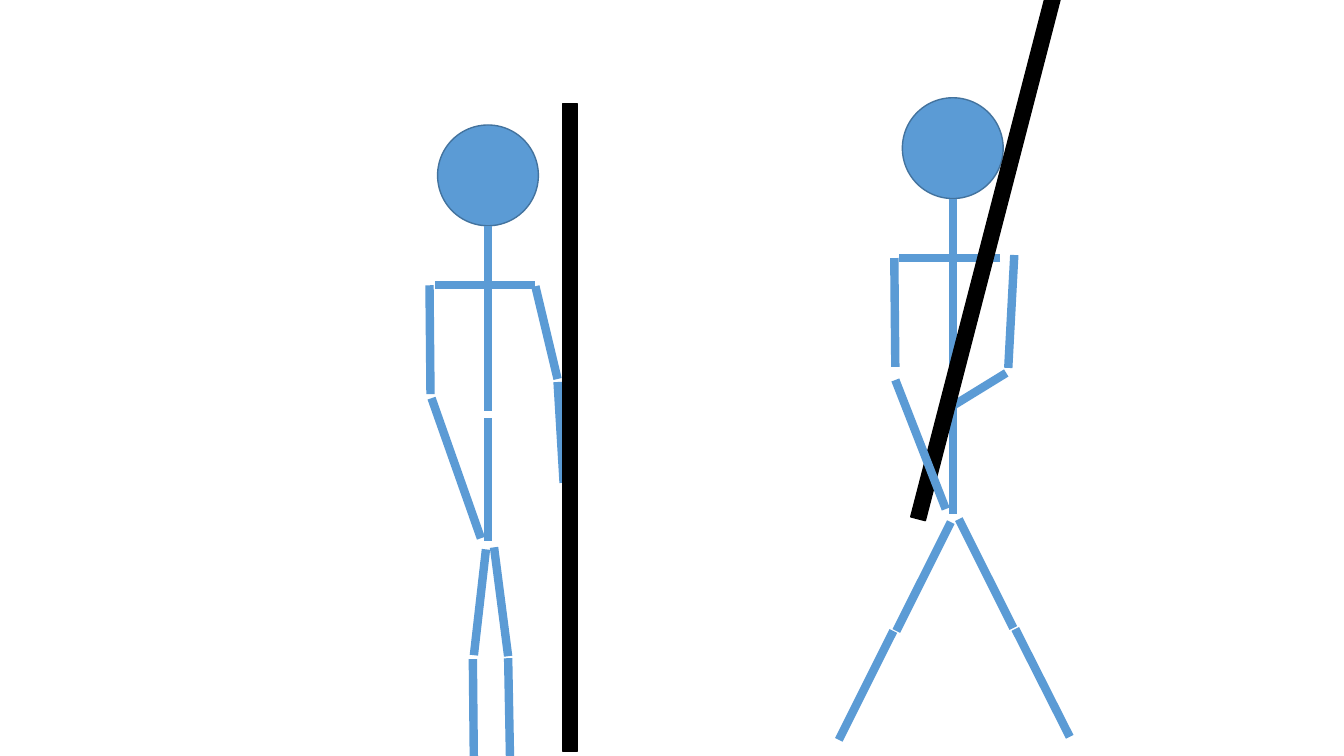
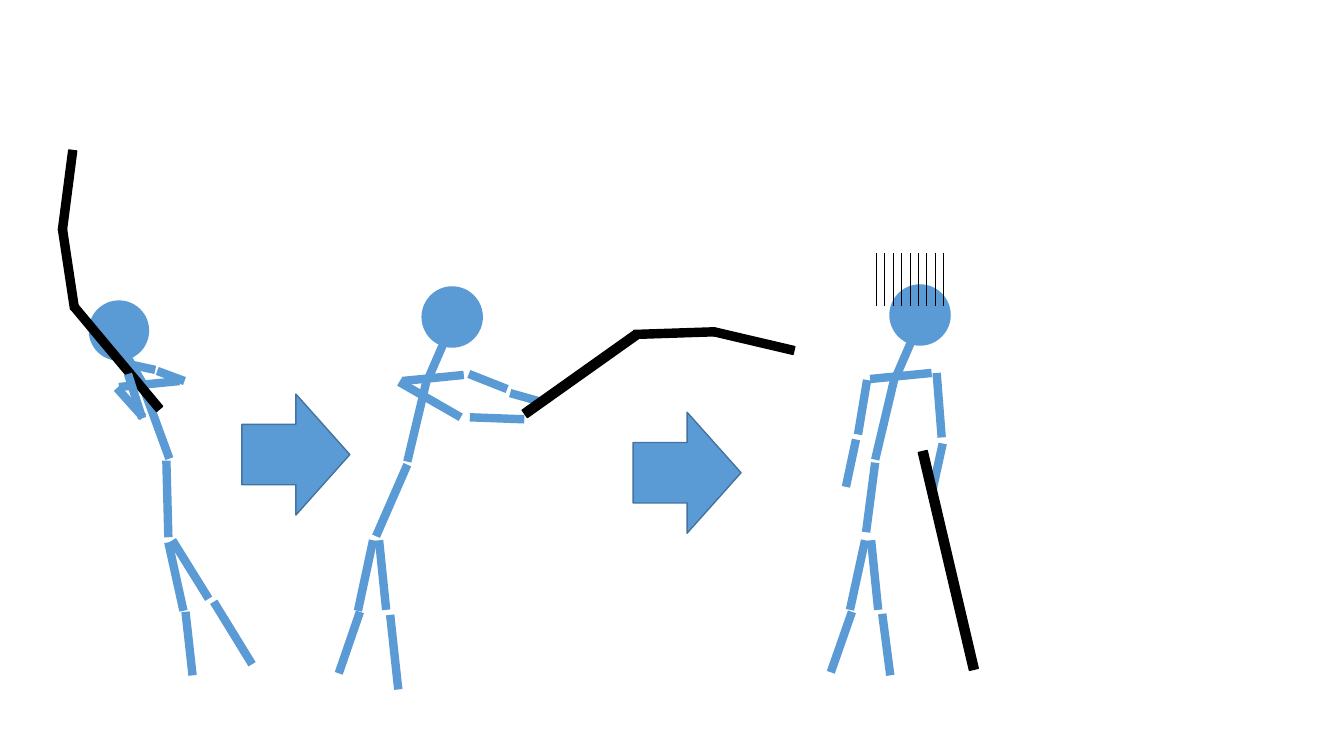
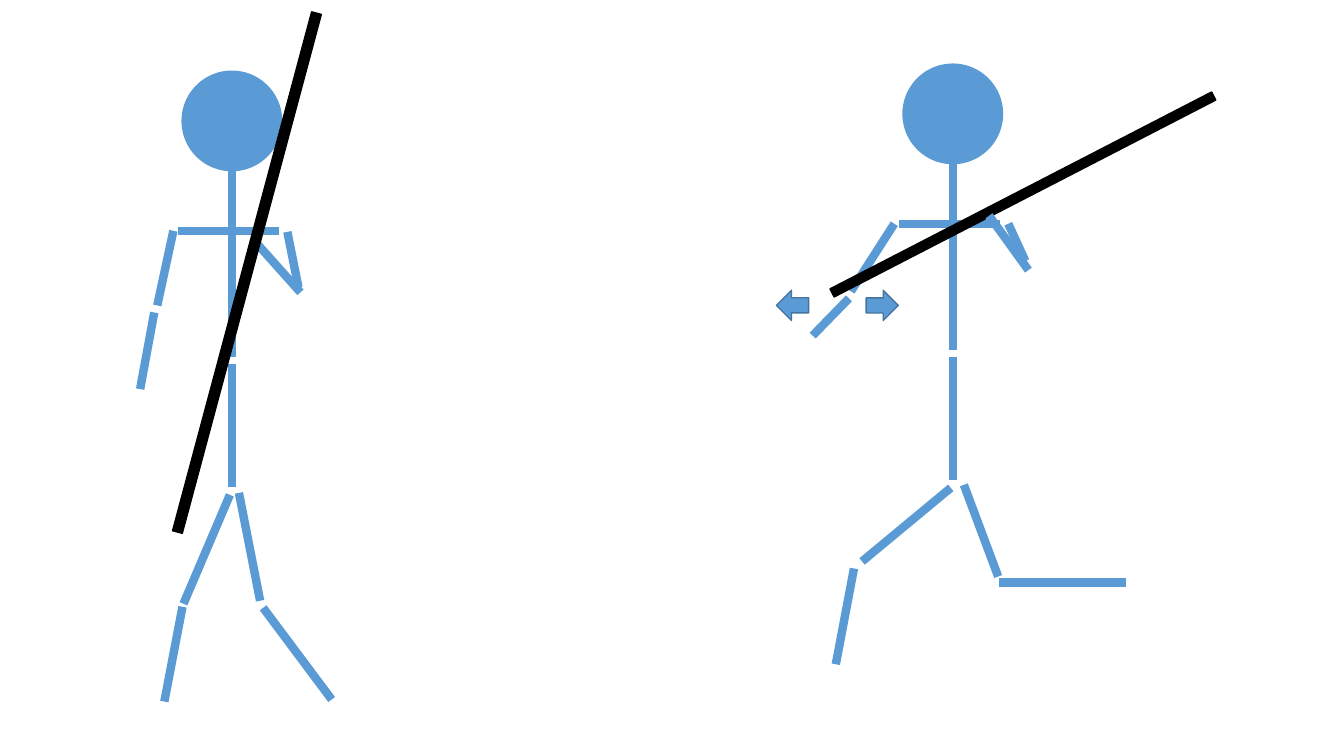
from dataclasses import dataclass, field

from lxml.etree import SubElement
from pptx import Presentation
from pptx.dml.color import RGBColor
from pptx.enum.shapes import MSO_CONNECTOR as Link, MSO_SHAPE as Preset
from pptx.oxml.ns import qn
from pptx.util import Inches, Pt


class Theme:
    body = RGBColor(0x5B, 0x9B, 0xD5)
    outline = RGBColor(0x43, 0x73, 0x9E)
    black = RGBColor(0, 0, 0)
    limb_width = 6
    outline_width = 1
    hair_width = 0.5


@dataclass
class Figure:
    """Limbs are (x1, y1, x2, y2); poles are (left, top, width, height, turn)."""
    head: tuple
    limbs: list
    poles: list
    torso: list = field(default_factory=list)
    front_limbs: list = field(default_factory=list)
    head_size: float = 1
    outlined: bool = False


# Torsos are measured from the top left of the head: neck, chest, shoulders, belly
UPRIGHT = [(0.5, 1, 0.5, 1.6), (0.5, 1.62, 0.5, 2.84),
           (0.97, 1.59, -0.03, 1.59), (0.5, 2.91, 0.5, 4.13)]
LEANING = [(0.23, 0.54, 0.07, 0.91), (0.05, 0.94, -0.14, 1.74),
           (0.42, 0.88, -0.19, 0.94)]

POLE_BESIDE = Figure(
    head=(4.34, 1.24), torso=UPRIGHT, outlined=True,
    limbs=[(5.53, 3.76, 5.31, 2.84), (4.26, 2.83, 4.27, 3.91),
           (5.53, 3.79, 5.59, 4.79), (4.82, 5.45, 4.7, 6.5),
           (4.69, 6.54, 4.7, 7.58), (4.9, 5.43, 5.04, 6.51),
           (5.04, 6.53, 5.06, 7.6)],
    poles=[(5.58, 1.03, 0.15, 6.42, 0)],
    front_limbs=[(4.28, 3.95, 4.77, 5.34)])

POLE_RAISED = Figure(
    head=(8.95, 0.97), torso=UPRIGHT, outlined=True,
    limbs=[(10, 3.65, 10.06, 2.53), (8.87, 2.56, 8.88, 3.64),
           (9.98, 3.7, 9.33, 4.1), (9.43, 5.18, 8.89, 6.26),
           (8.86, 6.26, 8.32, 7.34), (9.51, 5.15, 10.05, 6.23),
           (10.07, 6.24, 10.61, 7.31)],
    poles=[(9.76, -0.59, 0.15, 5.83, 14.5)],
    front_limbs=[(8.88, 3.77, 9.38, 5.05)])

SWING_BACK = Figure(
    head=(0.88, 2.98), head_size=0.6,
    limbs=[(1.25, 3.52, 1.42, 3.81), (1.42, 3.84, 1.68, 4.55),
           (1.65, 4.57, 1.67, 5.33), (1.78, 3.78, 1.18, 3.84),
           (1.56, 3.68, 1.83, 3.78), (1.16, 3.85, 1.42, 4.14),
           (1.31, 3.62, 1.54, 3.67), (1.67, 5.38, 1.82, 6.06),
           (1.84, 6.07, 1.91, 6.7), (1.71, 5.36, 2.07, 5.94),
           (2.12, 5.97, 2.5, 6.59)],
    poles=[(1.12, 2.89, 0.08, 1.32, 320.1), (0.64, 2.27, 0.08, 0.8, 351.4),
           (0.63, 1.49, 0.08, 0.8, 7.4)],
    front_limbs=[(1.41, 4.15, 1.27, 3.71)])

SWING_FORWARD = Figure(
    head=(4.18, 2.84), head_size=0.61, torso=LEANING,
    limbs=[(5.03, 3.86, 4.65, 3.71), (3.96, 3.79, 4.57, 4.14),
           (5.38, 3.99, 5.06, 3.9), (4.04, 4.61, 3.73, 5.32),
           (3.7, 5.36, 3.55, 6.06), (3.57, 6.07, 3.36, 6.68),
           (3.76, 5.36, 3.83, 6.05), (3.87, 6.1, 3.95, 6.84)],
    poles=[(5.71, 3.04, 0.09, 1.35, 54.6), (6.65, 2.9, 0.08, 0.81, 88.1),
           (7.44, 2.98, 0.08, 0.81, 103.2)],
    front_limbs=[(4.66, 4.14, 5.2, 4.16)])

DEJECTED = Figure(
    head=(8.82, 2.82), head_size=0.61, torso=LEANING,
    limbs=[(9.34, 4.34, 9.29, 3.7), (8.6, 3.77, 8.51, 4.31),
           (9.24, 4.9, 9.35, 4.4), (8.68, 4.59, 8.59, 5.28),
           (8.58, 5.36, 8.43, 6.05), (8.45, 6.07, 8.24, 6.67),
           (8.64, 5.36, 8.71, 6.05), (8.75, 6.09, 8.83, 6.7)],
    poles=[(9.36, 4.45, 0.09, 2.22, 166.8)],
    front_limbs=[(8.49, 4.36, 8.39, 4.83)])

WALKING = Figure(
    head=(1.8, 0.7), torso=UPRIGHT,
    limbs=[(2.96, 2.85, 2.85, 2.3), (1.72, 2.29, 1.56, 3.03),
           (2.56, 2.43, 2.98, 2.9), (2.28, 4.91, 1.82, 5.99),
           (1.81, 6.02, 1.63, 6.96), (2.37, 4.89, 2.58, 5.96),
           (2.61, 6.03, 3.29, 6.94)],
    poles=[(2.4, 0.04, 0.1, 5.33, 15)],
    front_limbs=[(1.53, 3.1, 1.39, 3.86)])

KNEELING = Figure(
    head=(8.95, 0.63), torso=UPRIGHT,
    limbs=[(10.17, 2.59, 10, 2.22), (8.87, 2.22, 8.44, 2.89),
           (9.43, 4.84, 8.55, 5.57), (8.47, 5.64, 8.29, 6.59),
           (9.56, 4.81, 9.9, 5.72), (9.91, 5.78, 11.17, 5.78)],
    poles=[(10.1, -0.2, 0.09, 4.26, 62.7)],
    front_limbs=[(8.42, 2.96, 8.06, 3.33), (9.81, 2.14, 10.2, 2.68)])

GLOOM_COUNT = 9
GLOOM_LEFT, GLOOM_RIGHT, GLOOM_TOP, GLOOM_BOTTOM = 8.69, 9.36, 2.51, 3.04
STEP_ARROWS = [(2.4, 3.91, 1.07, 1.2, 0), (6.28, 4.09, 1.07, 1.2, 0)]
HAND_ARROWS = [(7.7, 2.88, 0.32, 0.3, 0), (8.59, 2.88, 0.32, 0.3, 180)]


def add_solid(group, preset, frame, fill, outline=None):
    left, top, width, height, turn = frame
    shape = group.shapes.add_shape(preset, *map(Inches, (left, top, width, height)))
    shape.rotation = turn
    shape.shadow.inherit = False
    shape.fill.solid()
    shape.fill.fore_color.rgb = fill
    if outline is None:
        shape.line.fill.background()
    else:
        shape.line.color.rgb = outline
        shape.line.width = Pt(Theme.outline_width)


def add_line(group, ends, color=Theme.body, width=Theme.limb_width):
    line = group.shapes.add_connector(Link.STRAIGHT, *map(Inches, ends))
    line.line.color.rgb = color
    line.line.width = Pt(width)
    SubElement(line.element.spPr, qn("a:effectLst"))


def add_figure(group, figure):
    left, top = figure.head
    size = figure.head_size
    add_solid(group, Preset.OVAL, (left, top, size, size, 0), Theme.body,
              Theme.outline if figure.outlined else None)
    for x1, y1, x2, y2 in figure.torso:
        add_line(group, (left + x1, top + y1, left + x2, top + y2))
    for limb in figure.limbs:
        add_line(group, limb)
    for pole in figure.poles:
        add_solid(group, Preset.RECTANGLE, pole, Theme.black, Theme.black)
    for limb in figure.front_limbs:
        add_line(group, limb)


def add_gloom(group):
    """Draw the evenly spaced lines over the dejected figure's brow."""
    gap = (GLOOM_RIGHT - GLOOM_LEFT) / (GLOOM_COUNT - 1)
    for index in range(GLOOM_COUNT):
        x = GLOOM_LEFT + index * gap
        add_line(group, (x, GLOOM_TOP, x, GLOOM_BOTTOM),
                 Theme.black, Theme.hair_width)


def add_arrows(group, preset, frames):
    for frame in frames:
        add_solid(group, preset, frame, Theme.body, Theme.outline)


def add_groups(deck, *casts):
    """Add a slide with one group for each cast of figures."""
    page = deck.slides.add_slide(deck.slide_layouts[6])
    groups = []
    for cast in casts:
        group = page.shapes.add_group_shape()
        for figure in cast:
            add_figure(group, figure)
        groups.append(group)
    return groups


def main():
    deck = Presentation()
    deck.slide_width, deck.slide_height = Inches(13.33), Inches(7.5)

    add_groups(deck, [POLE_BESIDE], [POLE_RAISED])

    [swing] = add_groups(deck, [SWING_BACK, SWING_FORWARD, DEJECTED])
    add_gloom(swing)
    add_arrows(swing, Preset.RIGHT_ARROW, STEP_ARROWS)

    _, kneeling = add_groups(deck, [WALKING], [KNEELING])
    add_arrows(kneeling, Preset.LEFT_ARROW, HAND_ARROWS)

    deck.save("out.pptx")


if __name__ == "__main__":
    main()
